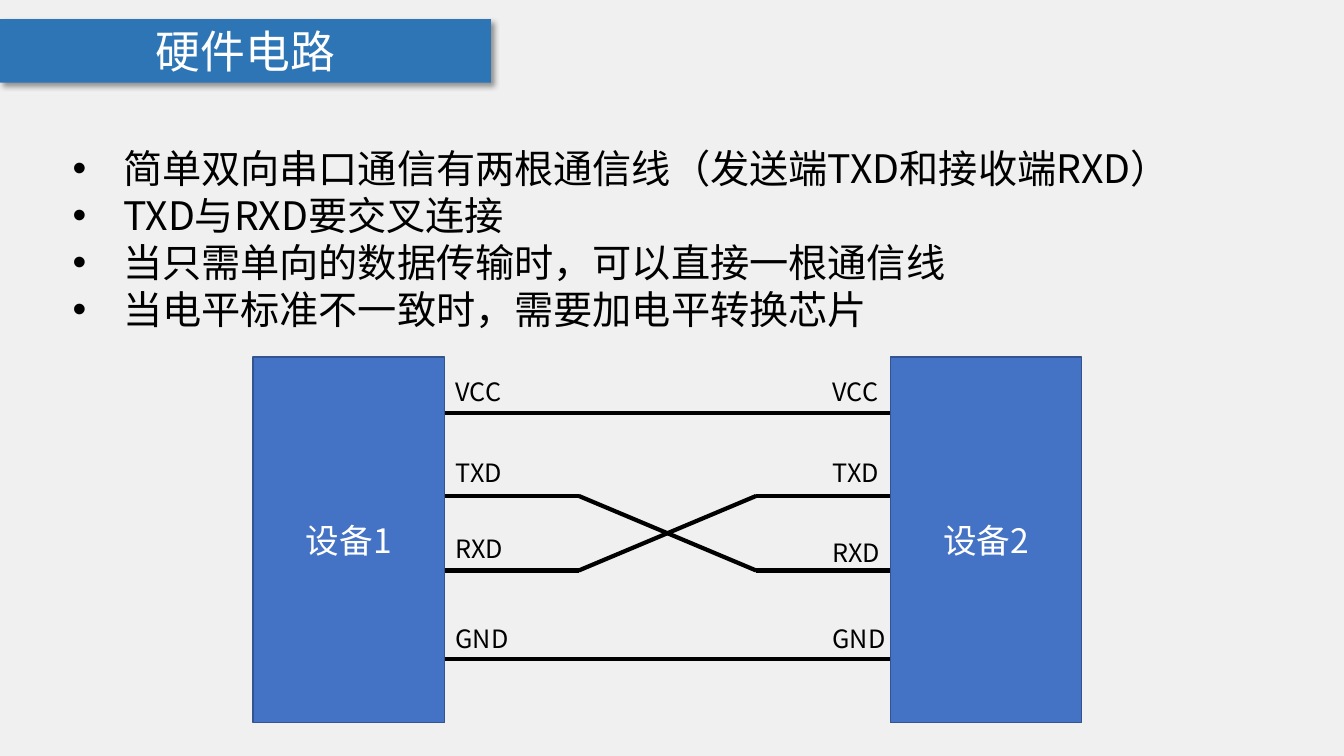
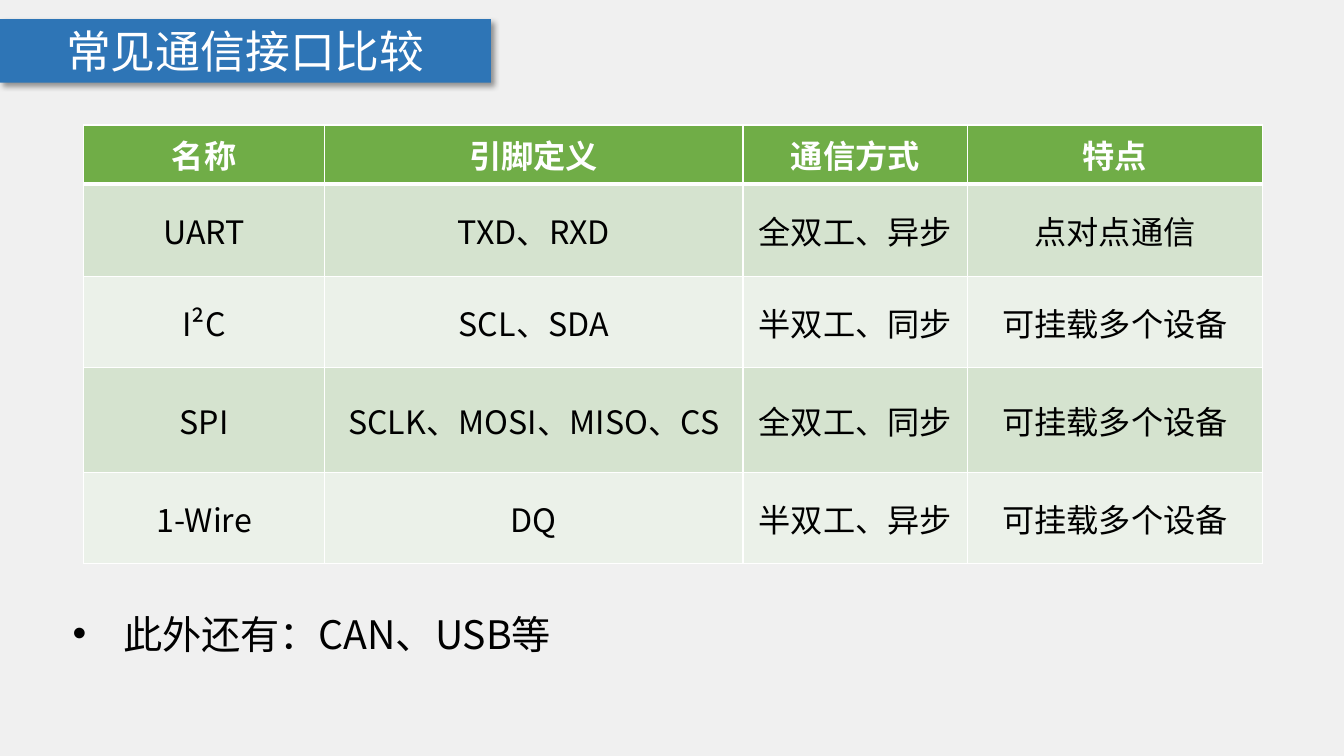
from lxml import etree
from pptx import Presentation
from pptx.dml.color import RGBColor
from pptx.enum.shapes import MSO_CONNECTOR, MSO_SHAPE
from pptx.enum.text import MSO_ANCHOR, MSO_AUTO_SIZE, PP_ALIGN
from pptx.oxml import parse_xml
from pptx.oxml.ns import nsdecls, qn
from pptx.util import Inches, Pt

# Shared style
FONT = "Noto Sans CJK SC"
BACKGROUND, BAND = "F0F0F0", "2E75B6"
BLACK, WHITE = "000000", "FFFFFF"
DEVICE, DEVICE_EDGE = "4472C4", "325491"
HEADER, ROW_FILLS = "70AD47", ("D5E3CF", "EBF1E9")


def rgb(value):
    return RGBColor.from_string(value)


def place(sp, left, top, width, height):
    sp.left, sp.top = Inches(left), Inches(top)
    sp.width, sp.height = Inches(width), Inches(height)


def add_run(p, text, size, color=BLACK, bold=False):
    r = p.add_run()
    r.text = text
    r.font.name, r.font.size, r.font.bold = FONT, Pt(size), bold
    r.font.color.rgb = rgb(color)
    ea = etree.SubElement(r.font._element, qn("a:ea"))
    ea.set("typeface", FONT)


def add_slide(prs, title):
    """Add a slide with its title on the blue shadowed band."""
    slide = prs.slides.add_slide(prs.slide_layouts[1])
    sp = slide.shapes.title
    place(sp, 0, 0.19, 4.87, 0.63)
    sp.fill.solid()
    sp.fill.fore_color.rgb = rgb(BAND)
    sp._element.spPr.append(parse_xml(
        f'<a:effectLst {nsdecls("a")}>'
        f'<a:outerShdw blurRad="{Pt(4)}" dist="{Pt(3)}" dir="2700000" algn="tl" rotWithShape="0">'
        f'<a:srgbClr val="{BLACK}"><a:alpha val="40000"/></a:srgbClr>'
        '</a:outerShdw></a:effectLst>'))
    tf = sp.text_frame
    tf.auto_size = MSO_AUTO_SIZE.NONE
    tf.vertical_anchor = MSO_ANCHOR.MIDDLE
    tf.margin_top = tf.margin_bottom = 0
    p = tf.paragraphs[0]
    p.alignment = PP_ALIGN.CENTER
    add_run(p, title, 32, WHITE)
    return slide


def fill_bullets(slide, top, height, lines):
    sp = slide.placeholders[1]
    place(sp, 0.62, top, 12.08, height)
    tf = sp.text_frame
    tf.auto_size = MSO_AUTO_SIZE.NONE
    tf.margin_top = Inches(0.08)
    for i, line in enumerate(lines):
        p = tf.add_paragraph() if i else tf.paragraphs[0]
        pPr = p._p.get_or_add_pPr()
        pPr.set("marL", str(Inches(0.5)))
        pPr.set("indent", str(Inches(-0.5)))
        etree.SubElement(pPr, qn("a:buFont")).set("typeface", "Arial")
        etree.SubElement(pPr, qn("a:buChar")).set("char", "•")
        p.space_before = Pt(0)
        p.line_spacing = Pt(33.6)
        add_run(p, line, 28)


def add_device(slide, left, top, width, height, name):
    sp = slide.shapes.add_shape(MSO_SHAPE.RECTANGLE, Inches(left), Inches(top),
                                Inches(width), Inches(height))
    sp.shadow.inherit = False
    sp.fill.solid()
    sp.fill.fore_color.rgb = rgb(DEVICE)
    sp.line.color.rgb = rgb(DEVICE_EDGE)
    sp.line.width = Pt(1)
    p = sp.text_frame.paragraphs[0]
    p.alignment = PP_ALIGN.CENTER
    add_run(p, name, 24, WHITE)


def add_wire(slide, points):
    """Draw a wire as straight segments through the given points."""
    for (x1, y1), (x2, y2) in zip(points, points[1:]):
        line = slide.shapes.add_connector(MSO_CONNECTOR.STRAIGHT, Inches(x1), Inches(y1),
                                          Inches(x2), Inches(y2))
        line.line.color.rgb = rgb(BLACK)
        line.line.width = Pt(3)
        etree.SubElement(line._element.spPr, qn("a:effectLst"))


def add_label(slide, left, top, text):
    sp = slide.shapes.add_textbox(Inches(left), Inches(top), Inches(0.83), Inches(0.4))
    sp.text_frame.word_wrap = True
    add_run(sp.text_frame.paragraphs[0], text, 18)


def set_border(cell, side, width):
    cell._tc.get_or_add_tcPr().append(parse_xml(
        f'<a:ln{side} {nsdecls("a")} w="{Pt(width)}">'
        f'<a:solidFill><a:srgbClr val="{WHITE}"/></a:solidFill></a:ln{side}>'))


def format_cell(cell, text, row):
    cell.margin_left = cell.margin_right = Inches(0.13)
    cell.margin_top = cell.margin_bottom = Inches(0.06)
    cell.vertical_anchor = MSO_ANCHOR.MIDDLE
    header = row == 0
    for side in "LRTB":
        under_header = (side == "B" and header) or (side == "T" and row == 1)
        set_border(cell, side, 3 if under_header else 1)
    cell.fill.solid()
    cell.fill.fore_color.rgb = rgb(HEADER if header else ROW_FILLS[(row - 1) % 2])
    p = cell.text_frame.paragraphs[0]
    p.alignment = PP_ALIGN.CENTER
    add_run(p, text, 23, WHITE if header else BLACK, header)


def add_grid(slide, left, top, widths, heights, rows):
    table = slide.shapes.add_table(len(rows), len(widths), Inches(left), Inches(top),
                                   Inches(sum(widths)), Inches(sum(heights))).table
    table.horz_banding = False
    for column, width in zip(table.columns, widths):
        column.width = Inches(width)
    for i, (height, texts) in enumerate(zip(heights, rows)):
        table.rows[i].height = Inches(height)
        for j, text in enumerate(texts):
            format_cell(table.cell(i, j), text, i)


def build_circuit(prs):
    slide = add_slide(prs, "硬件电路")
    fill_bullets(slide, 1.35, 1.99, [
        "简单双向串口通信有两根通信线（发送端TXD和接收端RXD）",
        "TXD与RXD要交叉连接",
        "当只需单向的数据传输时，可以直接一根通信线",
        "当电平标准不一致时，需要加电平转换芯片",
    ])
    # Devices
    top, width, height = 3.54, 1.9, 3.63
    left_device, right_device = 2.51, 8.83
    add_device(slide, left_device, top, width, height, "设备1")
    add_device(slide, right_device, top, width, height, "设备2")
    # Wires: straight supply and ground, crossed data lines
    start, end = left_device + width, right_device
    bend_in, bend_out = 5.74, 7.5
    vcc, txd, rxd, gnd = 4.1, 4.92, 5.66, 6.54
    for y in (vcc, gnd):
        add_wire(slide, [(start, y), (end, y)])
    for y1, y2 in ((txd, rxd), (rxd, txd)):
        add_wire(slide, [(start, y1), (bend_in, y1), (bend_out, y2), (end, y2)])
    # Pin labels: name, left top, right top
    for name, left_top, right_top in (("VCC", 3.68, 3.68), ("TXD", 4.49, 4.49),
                                      ("RXD", 5.24, 5.28), ("GND", 6.13, 6.13)):
        add_label(slide, 4.42, left_top, name)
        add_label(slide, 8.16, right_top, name)


def build_comparison(prs):
    slide = add_slide(prs, "常见通信接口比较")
    fill_bullets(slide, 5.97, 0.57, ["此外还有：CAN、USB等"])
    add_grid(slide, 0.83, 1.24, [2.39, 4.15, 2.23, 2.92], [0.52, 0.92, 0.9, 0.9, 0.9], [
        ("名称", "引脚定义", "通信方式", "特点"),
        ("UART", "TXD、RXD", "全双工、异步", "点对点通信"),
        ("I²C", "SCL、SDA", "半双工、同步", "可挂载多个设备"),
        ("SPI", "SCLK、MOSI、MISO、CS", "全双工、同步", "可挂载多个设备"),
        ("1-Wire", "DQ", "半双工、异步", "可挂载多个设备"),
    ])


def main():
    prs = Presentation()
    prs.slide_width, prs.slide_height = Inches(13.33), Inches(7.5)
    background = prs.slide_master.background.fill
    background.solid()
    background.fore_color.rgb = rgb(BACKGROUND)
    build_circuit(prs)
    build_comparison(prs)
    prs.save("out.pptx")


if __name__ == "__main__":
    main()
